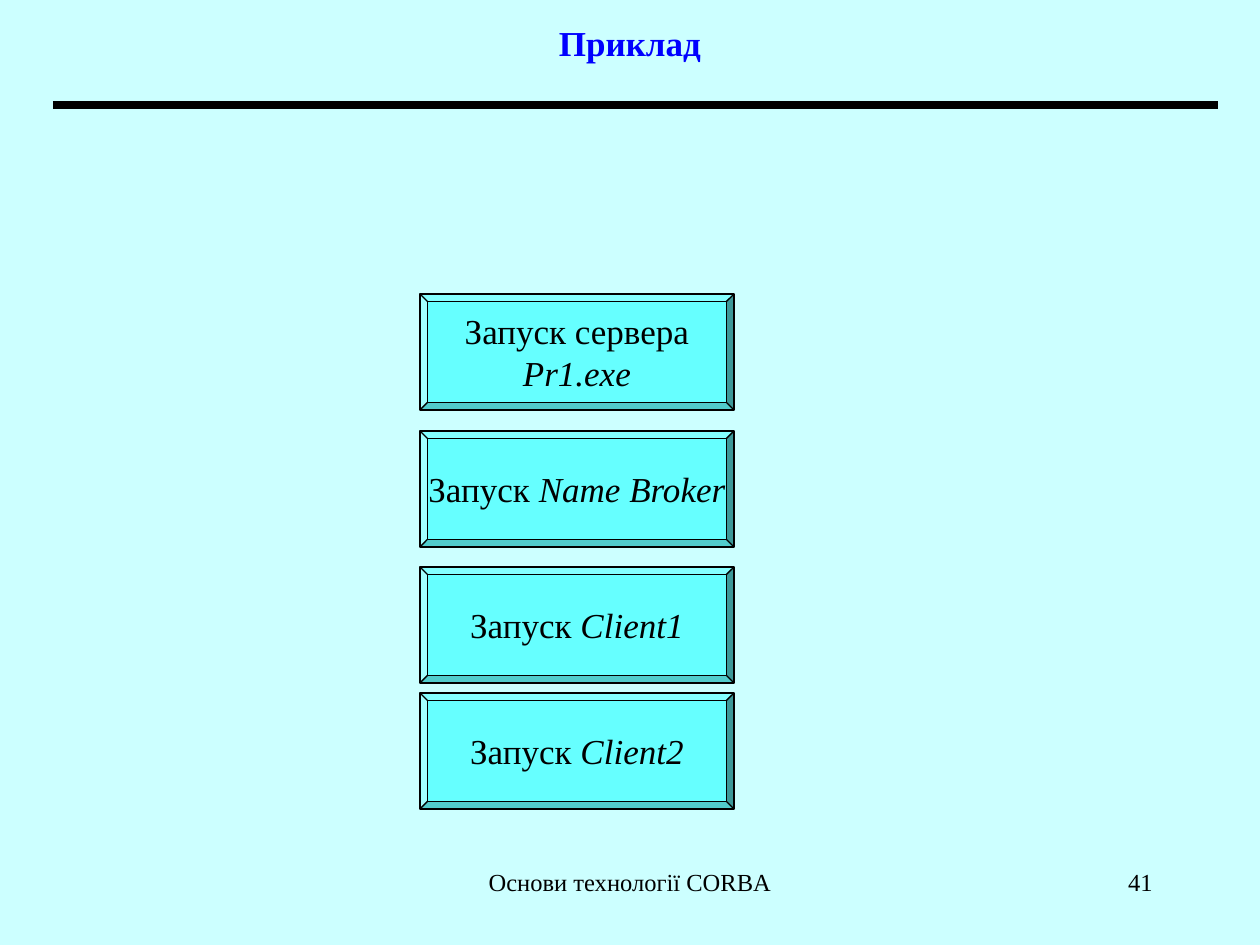
import pptx
import pptx.util
import pptx.dml.color
import pptx.enum.shapes
import pptx.enum.text
import pptx.oxml.ns
import lxml.etree

BACKGROUND = pptx.dml.color.RGBColor(0xCC, 0xFF, 0xFF)
BLUE = pptx.dml.color.RGBColor(0x00, 0x00, 0xFF)
AQUA = pptx.dml.color.RGBColor(0x66, 0xFF, 0xFF)
BLACK = pptx.dml.color.RGBColor(0x00, 0x00, 0x00)

ALIGN = pptx.enum.text.PP_ALIGN
ANCHOR = pptx.enum.text.MSO_ANCHOR
FONT = "Times New Roman"

HEADING = "Приклад"
STEPS = [
    (294, [[("Запуск сервера", False)], [("Pr1.exe", True)]]),
    (431, [[("Запуск ", False), ("Name Broker", True)]]),
    (567, [[("Запуск ", False), ("Client1", True)]]),
    (693, [[("Запуск ", False), ("Client2", True)]]),
]
STEP_LEFT, STEP_WIDTH, STEP_HEIGHT, BEVEL_EDGE = 420, 314, 116, 7.5
FOOTERS = [
    ("Основи технології CORBA", (430, 861, 400, 63), ALIGN.CENTER),
    ("41", (903, 861, 262, 63), ALIGN.RIGHT),
]


def px(length):
    return pptx.util.Emu(round(length * 914400 / 126))


def fill_text(frame, lines, size, color, align, anchor, wrap, bold=False):
    for name, value in {"word_wrap": wrap, "vertical_anchor": anchor}.items():
        setattr(frame, name, value)
    for number, line in enumerate(lines):
        paragraph = frame.add_paragraph() if number else frame.paragraphs[0]
        paragraph.alignment = align
        for words, italic in line:
            run = paragraph.add_run()
            run.text = words
            style = {"name": FONT, "size": pptx.util.Pt(size), "bold": bold, "italic": italic}
            for name, value in style.items():
                setattr(run.font, name, value)
            run.font.color.rgb = color


def main():
    deck = pptx.Presentation()
    deck.slide_width, deck.slide_height = px(1260), px(945)
    slide = deck.slides.add_slide(deck.slide_layouts[5])
    slide.background.fill.solid()
    slide.background.fill.fore_color.rgb = BACKGROUND

    heading = slide.shapes.title
    heading.left, heading.top, heading.width, heading.height = map(px, (94, 0, 1072, 84))
    fill_text(heading.text_frame, [[(HEADING, False)]], 20, BLUE,
              ALIGN.CENTER, ANCHOR.MIDDLE, True, bold=True)

    rule = slide.shapes.add_connector(
        pptx.enum.shapes.MSO_CONNECTOR.STRAIGHT, *map(px, (53, 105, 1218, 105)))
    rule.line.color.rgb = BLACK
    rule.line.width = pptx.util.Pt(4.5)
    lxml.etree.SubElement(rule._element.spPr, pptx.oxml.ns.qn("a:effectLst"))

    for top, lines in STEPS:
        step = slide.shapes.add_shape(
            pptx.enum.shapes.MSO_SHAPE.BEVEL,
            *map(px, (STEP_LEFT, top, STEP_WIDTH, STEP_HEIGHT)))
        step.adjustments[0] = BEVEL_EDGE / STEP_HEIGHT
        step.shadow.inherit = False
        step.fill.solid()
        step.fill.fore_color.rgb = AQUA
        step.line.color.rgb = BLACK
        step.line.width = pptx.util.Pt(0.75)
        fill_text(step.text_frame, lines, 20, BLACK, ALIGN.CENTER, ANCHOR.MIDDLE, False)

    for words, place, align in FOOTERS:
        footer = slide.shapes.add_textbox(*map(px, place))
        fill_text(footer.text_frame, [[(words, False)]], 14, BLACK, align, ANCHOR.TOP, True)

    deck.save("out.pptx")


if __name__ == "__main__":
    main()
